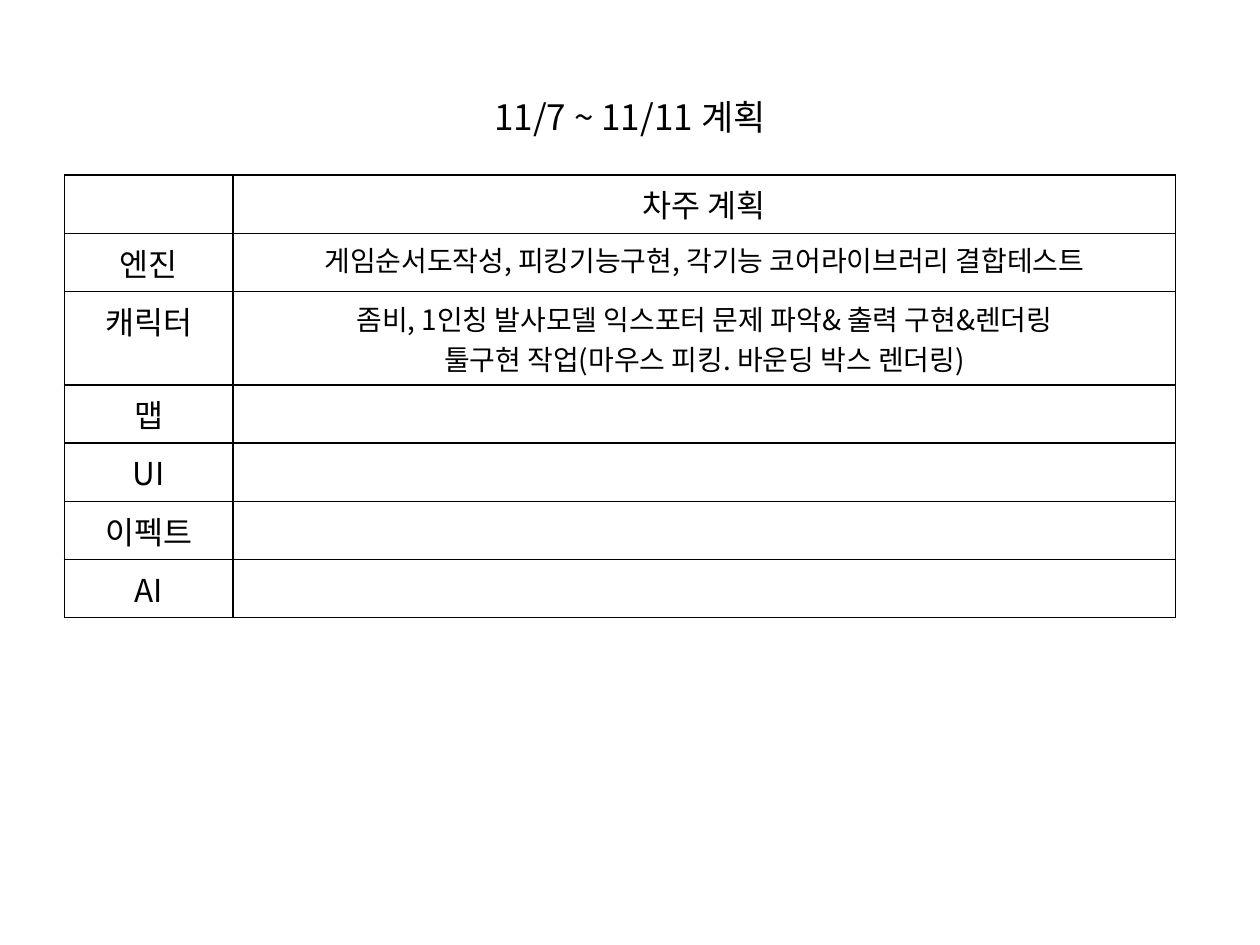
from dataclasses import dataclass

from lxml.etree import SubElement
from pptx import Presentation
from pptx.dml.color import RGBColor
from pptx.enum.text import MSO_ANCHOR, PP_ALIGN
from pptx.oxml.ns import qn
from pptx.util import Pt


@dataclass(frozen=True)
class Theme:
    font: str = "Noto Sans CJK KR"
    ink: str = "000000"
    title: int = 20
    label: int = 18
    note: int = 16
    line: int = 1


def write(frame, text, size, theme, align=PP_ALIGN.CENTER):
    """Fill a text frame, one paragraph per line of text."""
    frame.text = text
    for para in frame.paragraphs:
        para.alignment = align
        for run in para.runs:
            font = run.font
            font.size, font.name = Pt(size), theme.font
            font.color.rgb = RGBColor.from_string(theme.ink)
            east = SubElement(font._element, qn("a:ea"))
            east.set("typeface", theme.font)


class Page:
    def __init__(self, deck, theme):
        self.theme = theme
        self.slide = deck.slides.add_slide(deck.slide_layouts[5])

    def title(self, text, left, top, width, height):
        box = self.slide.shapes.title
        box.left, box.top = Pt(left), Pt(top)
        box.width, box.height = Pt(width), Pt(height)
        box.text_frame.vertical_anchor = MSO_ANCHOR.MIDDLE
        write(box.text_frame, text, self.theme.title, self.theme)

    def border(self, cell):
        props = cell._tc.get_or_add_tcPr()
        for side in ("lnL", "lnR", "lnT", "lnB"):
            line = SubElement(props, qn(f"a:{side}"), w=str(Pt(self.theme.line)))
            fill = SubElement(line, qn("a:solidFill"))
            SubElement(fill, qn("a:srgbClr"), val=self.theme.ink)

    def table(self, rows, left, top, widths, height):
        frame = self.slide.shapes.add_table(
            len(rows), len(widths), Pt(left), Pt(top),
            Pt(sum(widths)), Pt(height * len(rows)))
        grid = frame.table
        grid.first_row = grid.horz_banding = False
        for col, width in zip(grid.columns, widths):
            col.width = Pt(width)
        for r, row in enumerate(rows):
            grid.rows[r].height = Pt(height)
            for c, text in enumerate(row):
                cell = grid.cell(r, c)
                self.border(cell)
                cell.fill.background()
                if text:
                    size = self.theme.note if r and c else self.theme.label
                    write(cell.text_frame, text, size, self.theme)


# Plan for the week
PLAN = [
    ("", "차주 계획"),
    ("엔진", "게임순서도작성, 피킹기능구현, 각기능 코어라이브러리 결합테스트"),
    ("캐릭터", "좀비, 1인칭 발사모델 익스포터 문제 파악& 출력 구현&렌더링\n"
            "툴구현 작업(마우스 피킹. 바운딩 박스 렌더링)"),
    ("맵", ""),
    ("UI", ""),
    ("이펙트", ""),
    ("AI", ""),
]

deck = Presentation()
deck.slide_width, deck.slide_height = Pt(720), Pt(540)
page = Page(deck, Theme())

# Heading
page.title("11/7 ~ 11/11 계획", 36, 21.6, 648, 90)

# Plan table
page.table(PLAN, 36.85, 100, (96.4, 538.6), 29.2)

deck.save("out.pptx")
